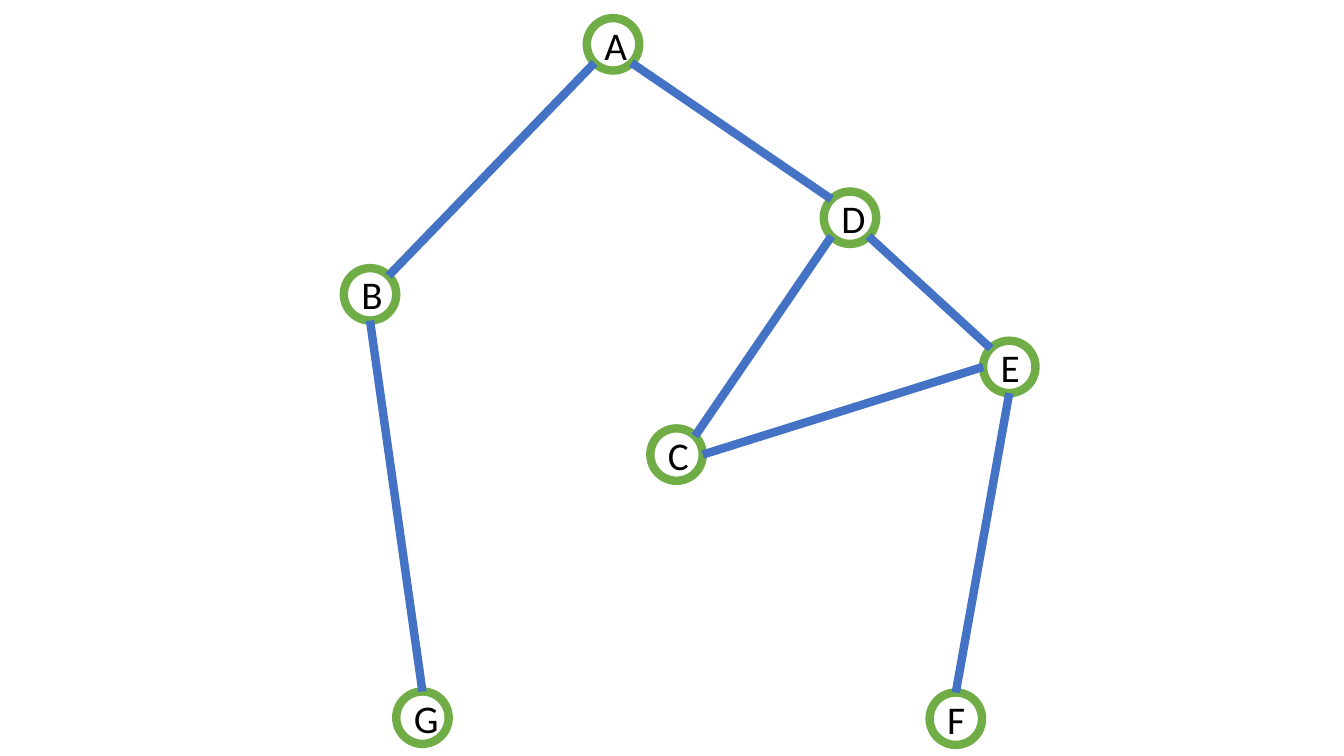
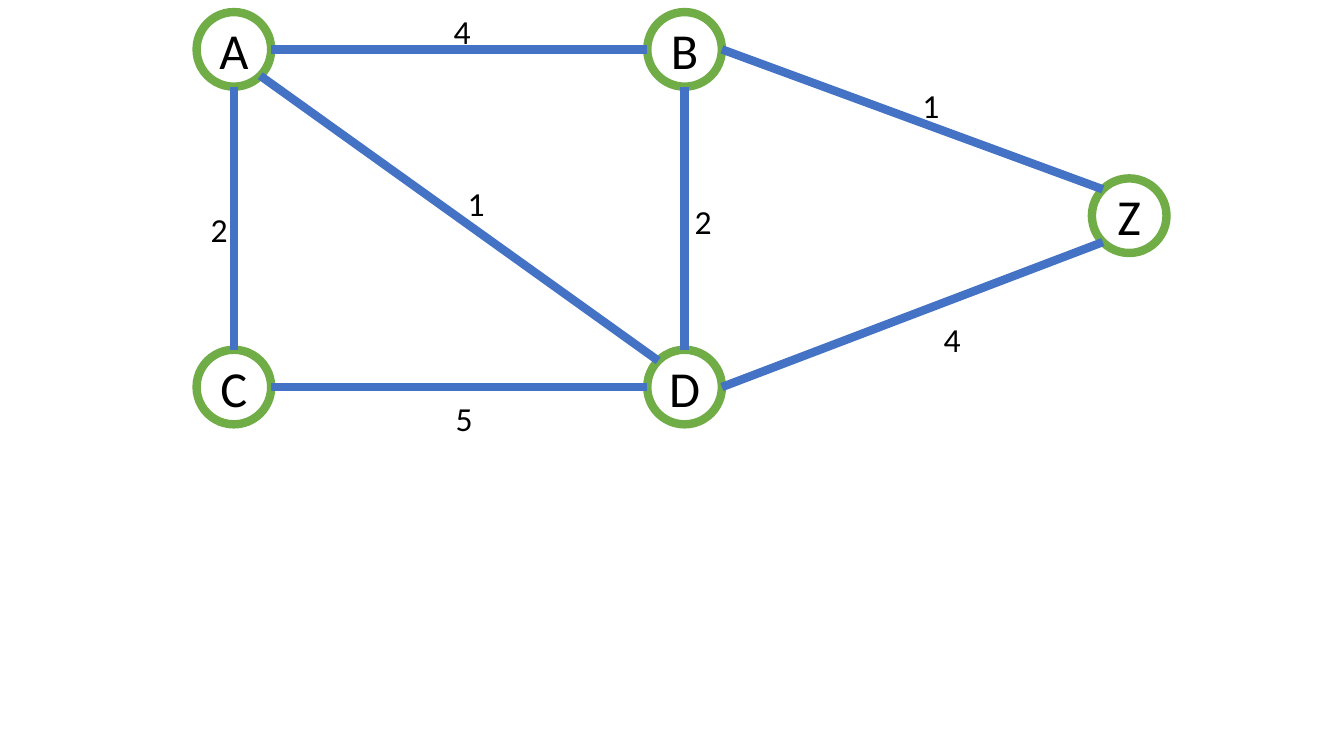
from math import sqrt

from pptx import Presentation
from pptx.dml.color import RGBColor
from pptx.enum import shapes, text
from pptx.oxml import parse_xml
from pptx.oxml.ns import nsdecls
from pptx.util import Inches, Pt

FONT = "Calibri"
BLACK, WHITE, GREEN, BLUE = "000000", "FFFFFF", "70AD47", "4472C4"
LINE_WIDTH = Pt(6)
LABEL_WIDTH, LABEL_HEIGHT = 0.37, 0.5
DIAGONAL = sqrt(0.5)
COMPASS = {
    "N": (0, -1), "E": (1, 0), "S": (0, 1), "W": (-1, 0),
    "NE": (DIAGONAL, -DIAGONAL), "SE": (DIAGONAL, DIAGONAL),
    "SW": (-DIAGONAL, DIAGONAL), "NW": (-DIAGONAL, -DIAGONAL),
}

GRAPHS = [
    {
        "diameter": 0.52,
        "size": 28,
        "nodes": {
            "A": (5.82, 0.18), "B": (3.41, 2.66), "D": (8.17, 1.9),
            "G": (3.93, 6.86), "C": (6.45, 4.25), "E": (9.75, 3.38),
            "F": (9.22, 6.87),
        },
        "edges": [
            ("A", "SE", "D", "NW"), ("A", "SW", "B", "NE"),
            ("B", "S", "G", "N"), ("D", "SW", "C", "NE"),
            ("D", "SE", "E", "NW"), ("E", "S", "F", "N"),
            ("C", "E", "E", "W"),
        ],
        "weights": [],
    },
    {
        "diameter": 0.74,
        "size": 36,
        "nodes": {
            "A": (1.95, 0.12), "C": (1.95, 3.47), "B": (6.42, 0.12),
            "D": (6.42, 3.47), "Z": (10.83, 1.77),
        },
        "edges": [
            ("A", "S", "C", "N"), ("A", "E", "B", "W"),
            ("C", "E", "D", "W"), ("B", "S", "D", "N"),
            ("A", "SE", "D", "NW"), ("B", "E", "Z", "NW"),
            ("D", "E", "Z", "SW"),
        ],
        "weights": [
            ("4", 4.4, 0.06), ("1", 4.54, 1.77), ("4", 9.26, 3.11),
            ("2", 1.99, 2.02), ("1", 9.05, 0.79), ("2", 6.79, 1.94),
            ("5", 4.42, 3.9),
        ],
    },
]


def color(value):
    return RGBColor.from_string(value)


def write(shape, words, size):
    shape.text_frame.text = words
    font = shape.text_frame.paragraphs[0].runs[0].font
    font.name = FONT
    font.size = Pt(size)
    font.color.rgb = color(BLACK)


deck = Presentation()
deck.slide_width = Inches(13.33)
deck.slide_height = Inches(7.5)
blank = deck.slide_layouts[6]

for graph in GRAPHS:
    page = deck.slides.add_slide(blank)
    diameter = graph["diameter"]
    radius = diameter / 2

    for name, (left, top) in graph["nodes"].items():
        node = page.shapes.add_shape(
            shapes.MSO_SHAPE.OVAL, Inches(left), Inches(top),
            Inches(diameter), Inches(diameter))
        node.shadow.inherit = False
        node.fill.solid()
        node.fill.fore_color.rgb = color(WHITE)
        node.line.color.rgb = color(GREEN)
        node.line.width = LINE_WIDTH
        write(node, name, graph["size"])
        node.text_frame.vertical_anchor = text.MSO_ANCHOR.MIDDLE
        node.text_frame.paragraphs[0].alignment = text.PP_ALIGN.CENTER

    for start, start_side, end, end_side in graph["edges"]:
        ends = []
        for name, side in ((start, start_side), (end, end_side)):
            for corner, direction in zip(graph["nodes"][name], COMPASS[side]):
                ends.append(Inches(corner + radius * (1 + direction)))
        edge = page.shapes.add_connector(shapes.MSO_CONNECTOR.STRAIGHT, *ends)
        edge.line.color.rgb = color(BLUE)
        edge.line.width = LINE_WIDTH
        edge._element.spPr.append(parse_xml(f"<a:effectLst {nsdecls('a')}/>"))

    for weight, left, top in graph["weights"]:
        label = page.shapes.add_textbox(
            Inches(left), Inches(top), Inches(LABEL_WIDTH), Inches(LABEL_HEIGHT))
        write(label, weight, 24)
        label.text_frame.word_wrap = False
        label.text_frame.auto_size = text.MSO_AUTO_SIZE.SHAPE_TO_FIT_TEXT

deck.save("out.pptx")
